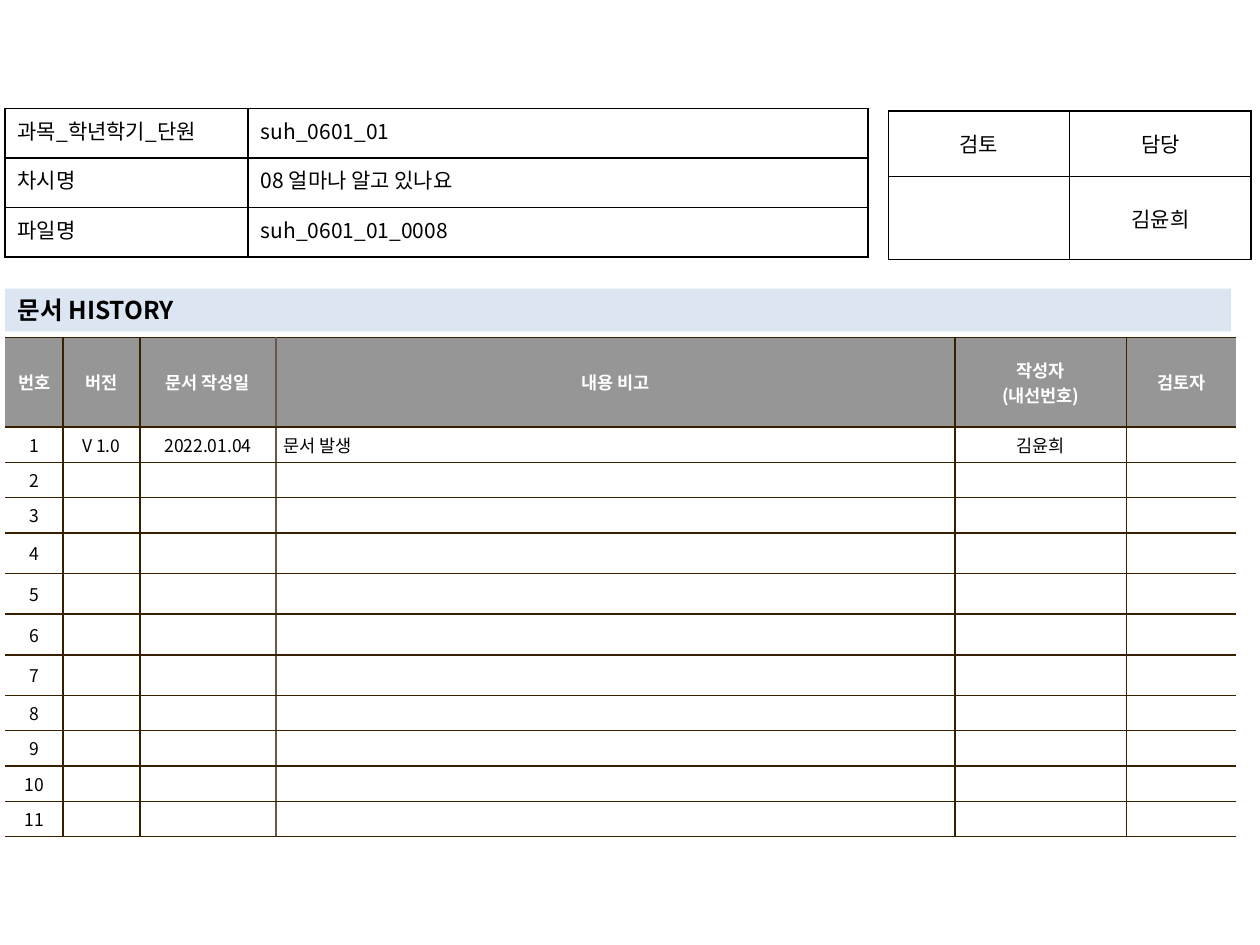
from dataclasses import dataclass
from typing import Optional

import pptx
import pptx.dml.color
import pptx.enum.text
import pptx.oxml.ns
import pptx.util
from lxml import etree

FONT = "Noto Sans CJK KR"
COLORS = {
    "ink": "000000",
    "paper": "FFFFFF",
    "header": "969696",
    "band": "DCE6F2",
    "brown": "362000",
    "taupe": "645B4C",
}
ALIGN = pptx.enum.text.PP_ALIGN
ANCHOR = pptx.enum.text.MSO_ANCHOR
SLIDE_W = pptx.util.Inches(10)
SLIDE_H = pptx.util.Inches(7.5)


@dataclass
class Style:
    size: int
    color: str = "ink"
    bold: bool = False
    align: ALIGN = ALIGN.CENTER
    anchor: ANCHOR = ANCHOR.MIDDLE
    margins: tuple[float, float] = (0.1, 0.05)
    fill: Optional[str] = None
    hanging: float = 0


@dataclass
class Grid:
    left: float
    top: float
    cols: list[float]
    rows: list[float]


def share_x(percent: float) -> int:
    return round(SLIDE_W * percent / 100)


def share_y(percent: float) -> int:
    return round(SLIDE_H * percent / 100)


def rgb(name: str) -> pptx.dml.color.RGBColor:
    return pptx.dml.color.RGBColor.from_string(COLORS[name])


def sub(parent, tag: str, **attrs: str):
    return etree.SubElement(parent, pptx.oxml.ns.qn(tag), **attrs)


def write(tf, text: str, style: Style) -> None:
    for i, line in enumerate(text.split("\n")):
        p = tf.paragraphs[0] if i == 0 else tf.add_paragraph()
        p.alignment = style.align
        if style.hanging:
            indent = pptx.util.Inches(style.hanging)
            pPr = p._p.get_or_add_pPr()
            pPr.set("marL", str(indent))
            pPr.set("indent", str(-indent))
        if not line:
            sub(p._p, "a:endParaRPr", sz=str(style.size * 100))
            continue
        r = p.add_run()
        r.text = line
        r.font.name = FONT
        r.font.size = pptx.util.Pt(style.size)
        r.font.bold = style.bold
        r.font.color.rgb = rgb(style.color)
        sub(r._r.get_or_add_rPr(), "a:ea", typeface=FONT)


def set_borders(cell, sides: dict[str, Optional[str]]) -> None:
    tcPr = cell._tc.get_or_add_tcPr()
    for side in "LRTB":
        ln = sub(tcPr, f"a:ln{side}", w=str(pptx.util.Pt(1)))
        if sides[side] is None:
            sub(ln, "a:noFill")
        else:
            sub(sub(ln, "a:solidFill"), "a:srgbClr", val=COLORS[sides[side]])


def add_grid_table(sl, grid: Grid, texts: list[list[str]], styles: list[list[Style]],
                   col_lines: list[Optional[str]], row_line: str) -> None:
    gf = sl.shapes.add_table(len(grid.rows), len(grid.cols), share_x(grid.left), share_y(grid.top),
                             share_x(sum(grid.cols)), share_y(sum(grid.rows)))
    tbl = gf.table
    tbl.first_row = tbl.horz_banding = False
    for col, width in zip(tbl.columns, grid.cols):
        col.width = share_x(width)
    for row, height in zip(tbl.rows, grid.rows):
        row.height = share_y(height)
    for i, row in enumerate(tbl.rows):
        for j, cell in enumerate(row.cells):
            style = styles[i][j]
            side, edge = (pptx.util.Inches(m) for m in style.margins)
            cell.margin_left = cell.margin_right = side
            cell.margin_top = cell.margin_bottom = edge
            cell.vertical_anchor = style.anchor
            set_borders(cell, {"L": col_lines[j], "R": col_lines[j + 1], "T": row_line, "B": row_line})
            if style.fill:
                cell.fill.solid()
                cell.fill.fore_color.rgb = rgb(style.fill)
            else:
                cell.fill.background()
            write(cell.text_frame, texts[i][j], style)


def add_heading(sl, text: str) -> None:
    sp = sl.shapes.title
    sp.left, sp.top = share_x(0.4), share_y(30.53)
    sp.width, sp.height = share_x(97.3), share_y(4.53)
    sp.fill.solid()
    sp.fill.fore_color.rgb = rgb("band")
    tf = sp.text_frame
    tf.word_wrap = True
    tf.auto_size = pptx.enum.text.MSO_AUTO_SIZE.NONE
    tf.vertical_anchor = ANCHOR.MIDDLE
    write(tf, text, Style(14, bold=True, align=ALIGN.LEFT))


def add_history(sl) -> None:
    entries = 11
    short, tall = 3.73, 4.3
    grid = Grid(0.4, 35.73, [4.6, 6.1, 10.8, 53.9, 13.6, 8.7],
                [9.47] + [short] * 3 + [tall] * 4 + [short] * 4)
    header = ["번호", "버전", "문서 작성일", "내용 비고", "작성자\n(내선번호)", "검토자"]
    first = ["1", "V 1.0", "2022.01.04", "문서 발생", "김윤희", ""]
    blank = [[str(n)] + [""] * (len(header) - 1) for n in range(2, entries + 1)]
    margins = (0.06, 0.04)
    head = Style(10, "paper", True, margins=margins, fill="header")
    body = Style(10, margins=margins, fill="paper")
    note = Style(10, align=ALIGN.LEFT, margins=margins, fill="paper", hanging=0.19)
    styles = [[head] * 6] + [[body, body, body, note, body, body]] * entries
    lines = [None, "brown", "brown", "taupe", "brown", "brown", None]
    add_grid_table(sl, grid, [header, first] + blank, styles, lines, "brown")


def add_approval(sl) -> None:
    grid = Grid(70.5, 11.73, [14.4] * 2, [6.93, 8.8])
    add_grid_table(sl, grid, [["검토", "담당"], ["", "김윤희"]],
                   [[Style(12)] * 2] * 2, ["ink"] * 3, "ink")


def add_file_info(sl) -> None:
    grid = Grid(0.4, 11.47, [19.3, 49.2], [5.25] * 3)
    texts = [
        ["과목_학년학기_단원", "suh_0601_01"],
        ["차시명", "08 얼마나 알고 있나요"],
        ["파일명", "suh_0601_01_0008"],
    ]
    label = Style(12, align=ALIGN.JUSTIFY, anchor=ANCHOR.TOP)
    value = Style(12, align=ALIGN.LEFT, anchor=ANCHOR.TOP)
    add_grid_table(sl, grid, texts, [[label, value]] * 3, ["ink"] * 3, "ink")


def main() -> None:
    prs = pptx.Presentation()
    prs.slide_width, prs.slide_height = SLIDE_W, SLIDE_H
    sl = prs.slides.add_slide(prs.slide_layouts[5])
    add_history(sl)
    add_approval(sl)
    add_heading(sl, "문서 HISTORY")
    add_file_info(sl)
    prs.save("out.pptx")


if __name__ == "__main__":
    main()
